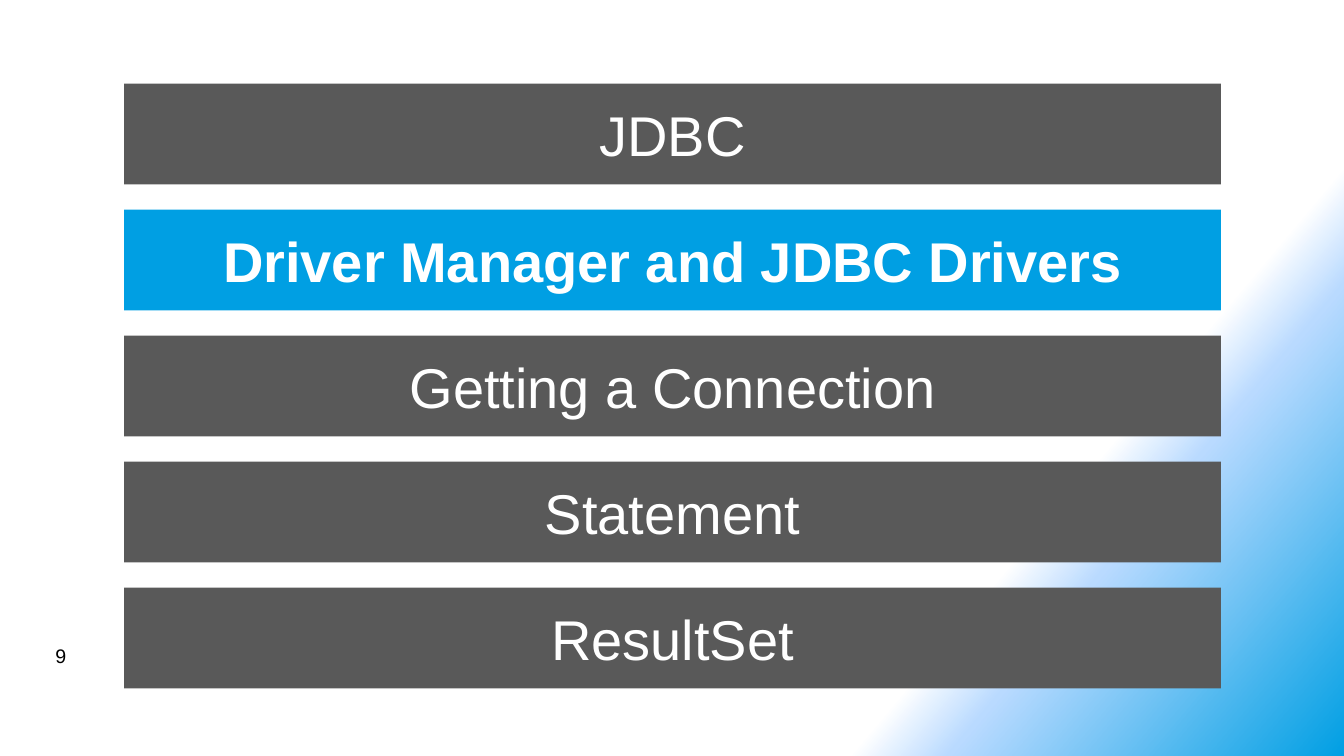
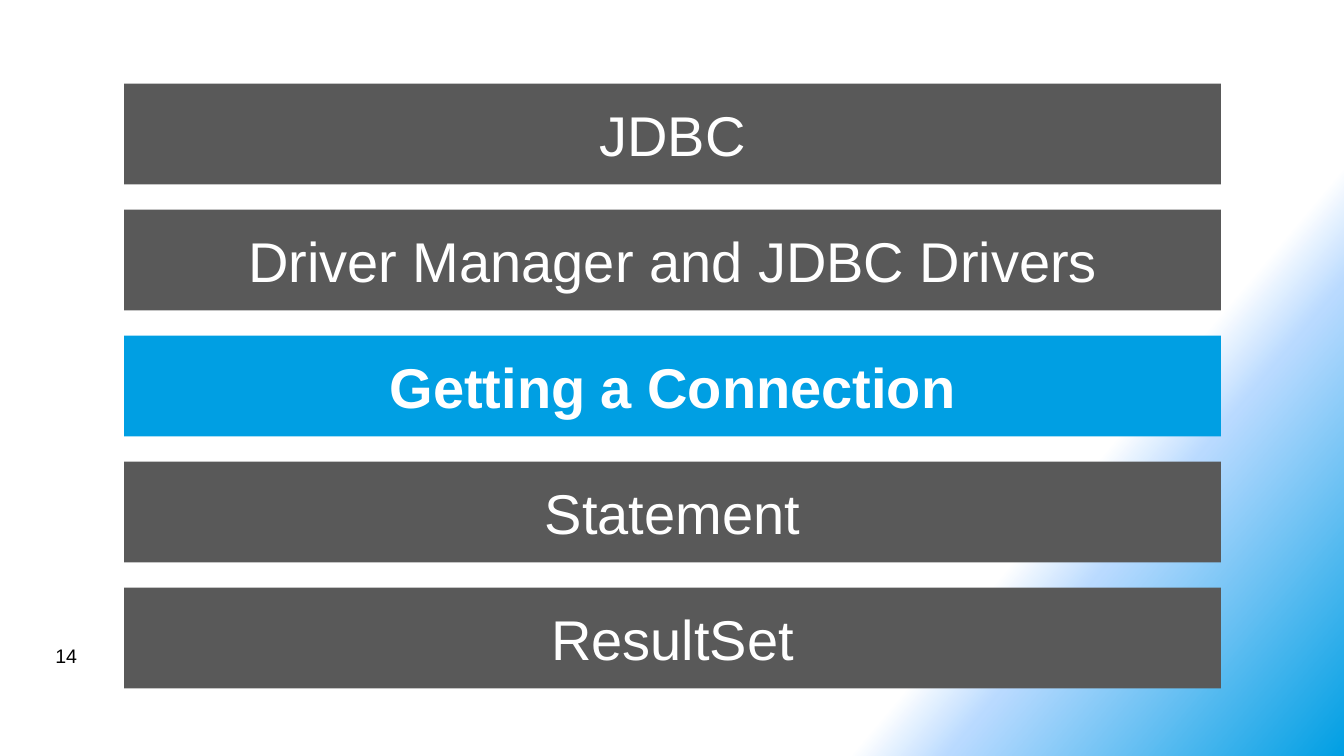
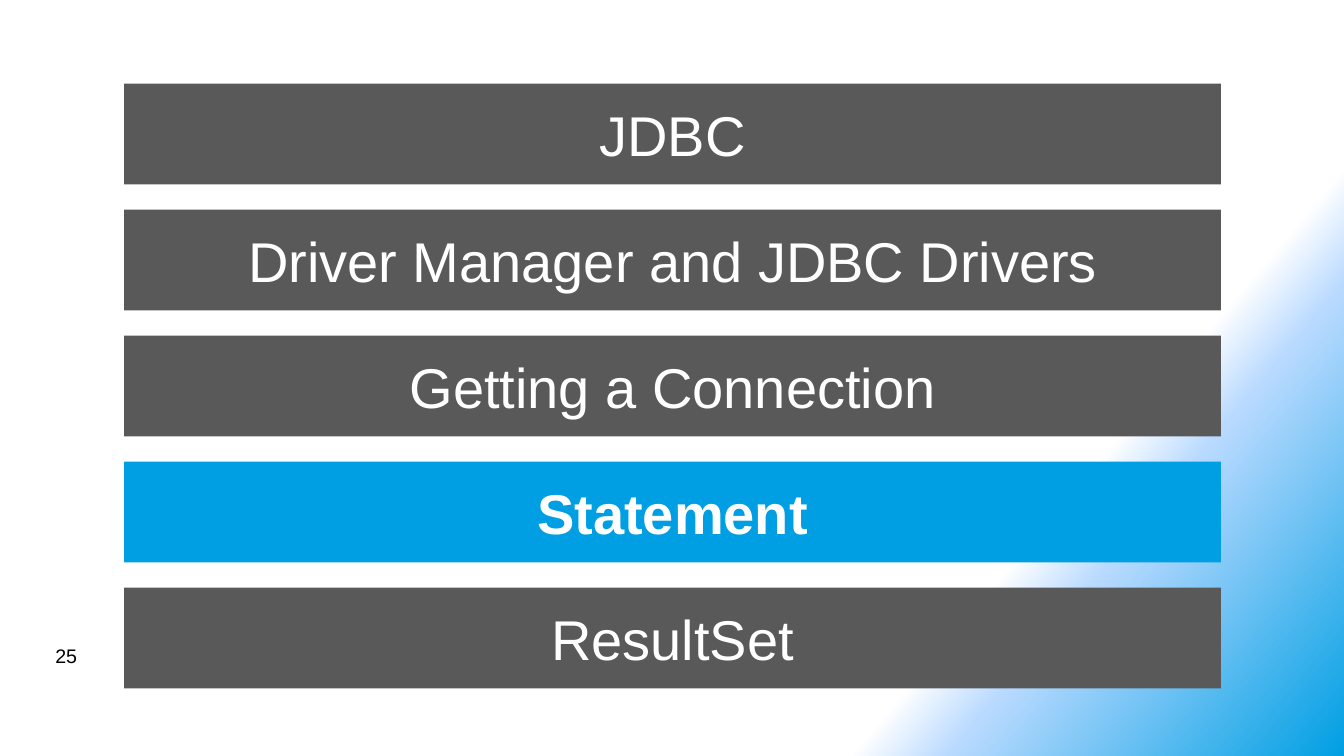
from collections import namedtuple

from lxml import etree
from pptx import Presentation
from pptx.dml.color import RGBColor
from pptx.enum.shapes import MSO_SHAPE
from pptx.enum.text import MSO_ANCHOR, PP_ALIGN
from pptx.oxml.ns import qn
from pptx.util import Inches, Pt

RECTANGLE = MSO_SHAPE.RECTANGLE
MIDDLE = MSO_ANCHOR.MIDDLE
CENTER = PP_ALIGN.CENTER
LEFT = PP_ALIGN.LEFT

Box = namedtuple("Box", "left top width height")

COLORS = {
    "white": "FFFFFF",
    "haze": "B9DAFF",
    "accent": "009FE3",
    "bar": "595959",
    "number": "000000",
}
BACKGROUND_STOPS = [(75, "white", 100), (80, "haze", 50), (100, "accent", 100)]
BACKGROUND_ANGLE = 40

TOPIC_FORMAT = {"name": "Arial", "size": Pt(40), "bold": False}
ACTIVE_FORMAT = {**TOPIC_FORMAT, "bold": True}
NUMBER_FORMAT = {"name": "Arial", "size": Pt(14)}

AGENDA_BOX = Box(1.23, 0.83, 10.88, 6)
NUMBER_BOX = Box(0.45, 6.34, 3.11, 0.33)
GAP_SHARE = 0.25

TOPICS = [
    "JDBC",
    "Driver Manager and JDBC Drivers",
    "Getting a Connection",
    "Statement",
    "ResultSet",
]
AGENDA_SLIDES = [
    (9, "Driver Manager and JDBC Drivers"),
    (14, "Getting a Connection"),
    (25, "Statement"),
]


def color(name):
    return RGBColor.from_string(COLORS[name])


def set_background(master):
    master.background.fill.gradient()
    gradient = master.element.find(".//" + qn("a:gradFill"))
    stops = gradient.find(qn("a:gsLst"))
    for stop in list(stops):
        stops.remove(stop)
    for position, name, opacity in BACKGROUND_STOPS:
        stop = etree.SubElement(stops, qn("a:gs"), pos=str(position * 1000))
        shade = etree.SubElement(stop, qn("a:srgbClr"), val=COLORS[name])
        if opacity < 100:
            etree.SubElement(shade, qn("a:alpha"), val=str(opacity * 1000))
    direction = gradient.find(qn("a:lin"))
    direction.set("ang", str(BACKGROUND_ANGLE * 60000))
    direction.set("scaled", "0")


def write(shape, text, color_name, text_format, alignment):
    shape.text_frame.word_wrap = True
    paragraph = shape.text_frame.paragraphs[0]
    paragraph.alignment = alignment
    run = paragraph.add_run()
    run.text = text
    run.font.color.rgb = color(color_name)
    for attribute, value in text_format.items():
        setattr(run.font, attribute, value)


def add_topic(slide, box, topic, active):
    bar = slide.shapes.add_shape(RECTANGLE, *map(Inches, box))
    bar.shadow.inherit = False
    bar.fill.solid()
    bar.fill.fore_color.rgb = color("accent" if active else "bar")
    bar.line.fill.background()
    bar.text_frame.vertical_anchor = MIDDLE
    write(bar, topic, "white", ACTIVE_FORMAT if active else TOPIC_FORMAT, CENTER)


def add_agenda(slide, box, topics, active_topic):
    height = box.height / (len(topics) + (len(topics) - 1) * GAP_SHARE)
    pitch = height * (1 + GAP_SHARE)
    for row, topic in enumerate(topics):
        topic_box = box._replace(top=box.top + row * pitch, height=height)
        add_topic(slide, topic_box, topic, topic == active_topic)


def add_number(slide, box, number):
    label = slide.shapes.add_textbox(*map(Inches, box))
    write(label, str(number), "number", NUMBER_FORMAT, LEFT)


def add_agenda_slide(presentation, number, active_topic):
    slide = presentation.slides.add_slide(presentation.slide_layouts[6])
    add_agenda(slide, AGENDA_BOX, TOPICS, active_topic)
    add_number(slide, NUMBER_BOX, number)


presentation = Presentation()
presentation.slide_width = Inches(13.33)
presentation.slide_height = Inches(7.5)
set_background(presentation.slide_master)
for number, active_topic in AGENDA_SLIDES:
    add_agenda_slide(presentation, number, active_topic)
presentation.save("out.pptx")
